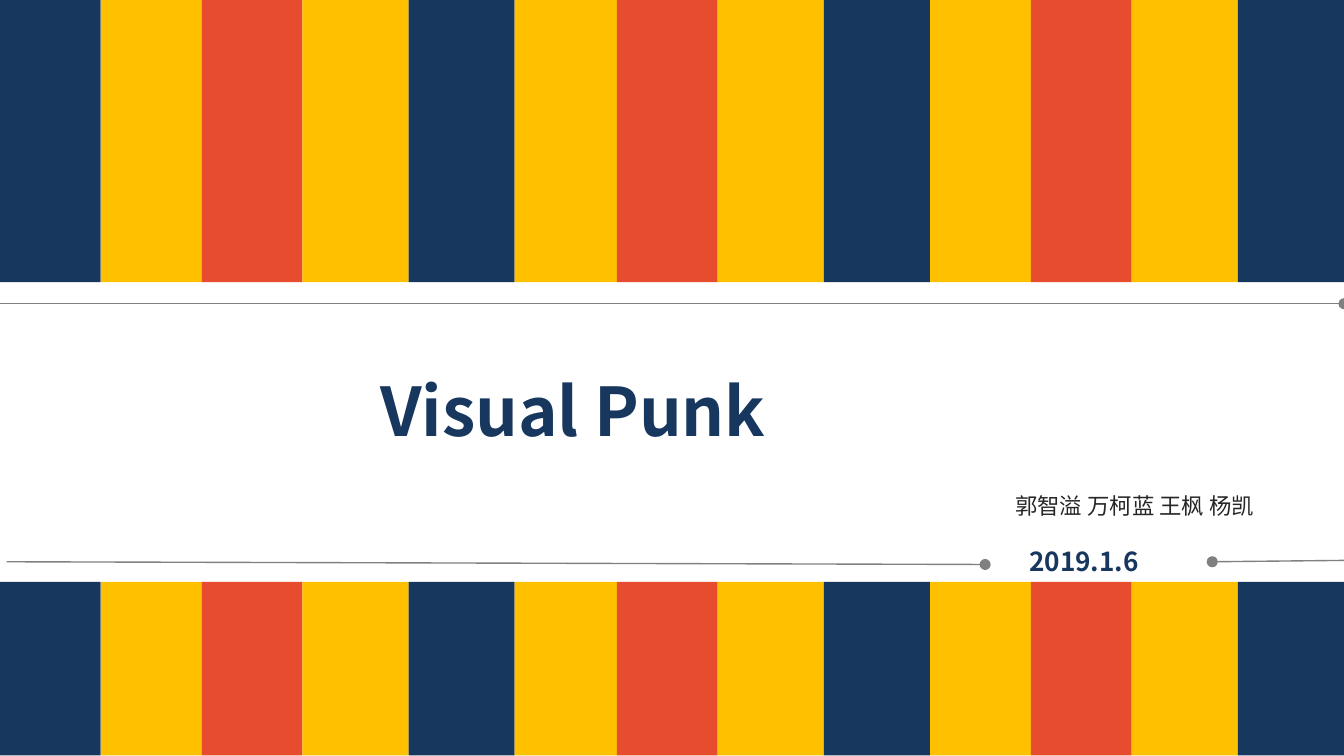
from itertools import cycle, pairwise

from lxml import etree
from pptx import Presentation
from pptx.dml.color import RGBColor
from pptx.enum.shapes import MSO_CONNECTOR, MSO_SHAPE
from pptx.enum.text import MSO_AUTO_SIZE, PP_ALIGN
from pptx.oxml.ns import qn
from pptx.util import Inches, Pt

STRAIGHT = MSO_CONNECTOR.STRAIGHT
RECTANGLE = MSO_SHAPE.RECTANGLE
GROW = MSO_AUTO_SIZE.SHAPE_TO_FIT_TEXT
JUSTIFY = PP_ALIGN.JUSTIFY
RIGHT = PP_ALIGN.RIGHT

COLORS = {
    "navy": "17375E",
    "yellow": "FFC000",
    "red": "E74C2E",
    "gray": "808080",
    "ink": "262626",
}
HEADING_FONT = "Noto Sans CJK SC"
NAMES_FONT = "Arial Narrow"
STRIPE_PATTERN = ["navy", "yellow", "red", "yellow"]
STRIPE_EDGES = [0, 0.75, 1.5, 2.25, 3.04, 3.83, 4.59, 5.34, 6.13,
                6.92, 7.67, 8.42, 9.21, 10]


def color(name):
    return RGBColor.from_string(COLORS[name])


def add_stripes(slide, top, height):
    for (left, right), name in zip(pairwise(STRIPE_EDGES), cycle(STRIPE_PATTERN)):
        stripe = slide.shapes.add_shape(
            RECTANGLE, Inches(left), Inches(top), Inches(right - left), Inches(height))
        stripe.shadow.inherit = False
        stripe.fill.solid()
        stripe.fill.fore_color.rgb = color(name)
        stripe.line.fill.background()


def add_dotted_end_line(slide, start, end):
    line = slide.shapes.add_connector(STRAIGHT, *map(Inches, start + end))
    line.line.color.rgb = color("gray")
    line.line.width = Pt(0.75)
    outline = line.line._get_or_add_ln()
    etree.SubElement(outline, qn("a:tailEnd"), type="oval")
    etree.SubElement(line._element.spPr, qn("a:effectLst"))


def add_text(slide, area, text, size, font, name, align, bold=False):
    box = slide.shapes.add_textbox(*map(Inches, area))
    frame = box.text_frame
    frame.word_wrap = True
    frame.auto_size = GROW
    para = frame.paragraphs[0]
    para.alignment = align
    span = para.add_run()
    span.text = text
    span.font.size = Pt(size)
    span.font.name = font
    span.font.bold = bold
    span.font.color.rgb = color(name)


def main():
    deck = Presentation()
    deck.slide_width = Inches(10)
    deck.slide_height = Inches(10) * 9 // 16
    slide = deck.slides.add_slide(deck.slide_layouts[6])

    add_text(slide, (2.73, 2.7, 4.84, 0.71), "Visual Punk", 36,
             HEADING_FONT, "navy", JUSTIFY, bold=True)
    add_dotted_end_line(slide, (0.05, 4.18), (7.33, 4.2))
    add_dotted_end_line(slide, (10, 4.17), (9.02, 4.18))
    add_text(slide, (7.15, 3.61, 2.28, 0.3), "郭智溢 万柯蓝 王枫 杨凯", 12,
             NAMES_FONT, "ink", RIGHT)
    add_stripes(slide, 0, 2.1)
    add_stripes(slide, 4.33, 1.29)
    add_text(slide, (7.56, 4.01, 1.36, 0.34), "2019.1.6", 14,
             HEADING_FONT, "navy", JUSTIFY, bold=True)
    add_dotted_end_line(slide, (0, 2.26), (10, 2.26))

    deck.save("out.pptx")


if __name__ == "__main__":
    main()
